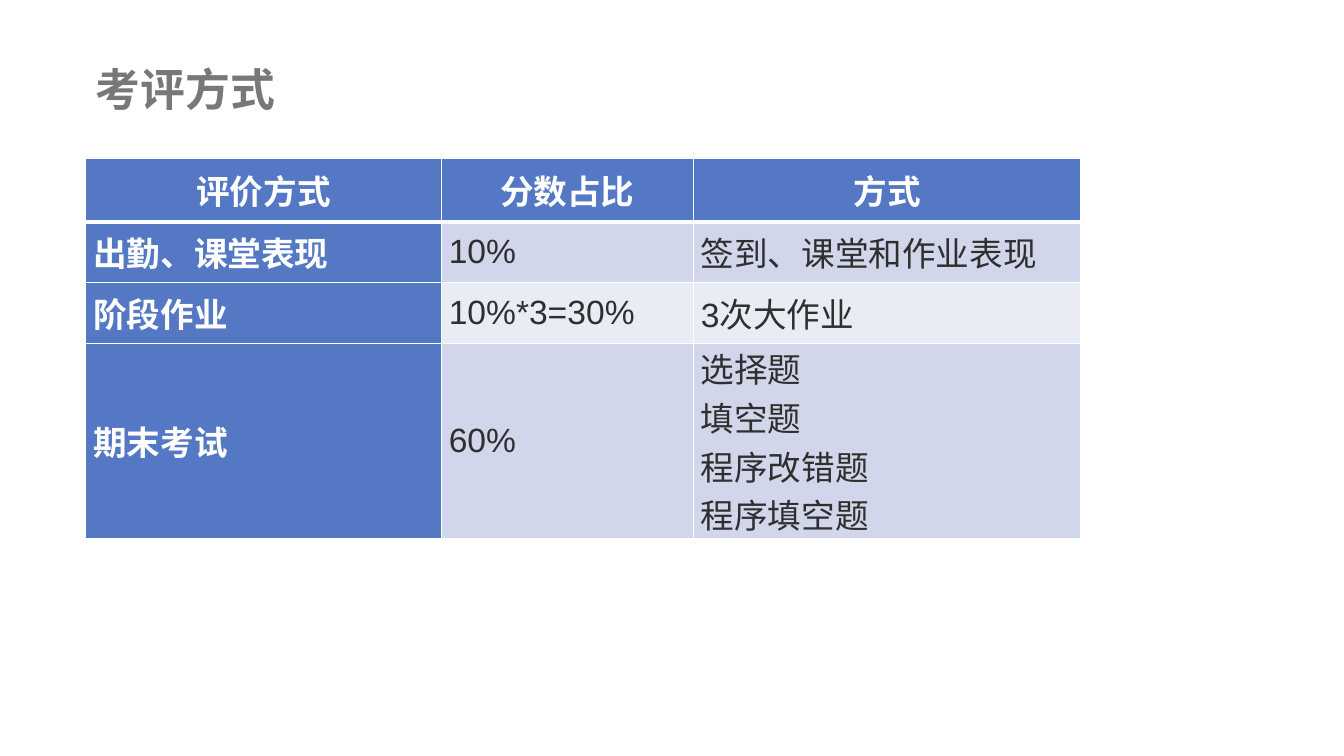
from lxml import etree
from pptx import Presentation
from pptx.dml.color import RGBColor
from pptx.enum.text import MSO_ANCHOR, PP_ALIGN
from pptx.oxml.ns import qn
from pptx.util import Pt

LEFT, CENTER, JUSTIFY = PP_ALIGN.LEFT, PP_ALIGN.CENTER, PP_ALIGN.JUSTIFY
MIDDLE, BOTTOM = MSO_ANCHOR.MIDDLE, MSO_ANCHOR.BOTTOM

WHITE = RGBColor(0xFF, 0xFF, 0xFF)
GRAY = RGBColor(0x78, 0x78, 0x78)
DARK = RGBColor(0x2F, 0x2F, 0x2F)
BLUE = RGBColor(0x54, 0x78, 0xC4)
BANDS = (RGBColor(0xD1, 0xD6, 0xEA), RGBColor(0xE9, 0xEC, 0xF5))

COLUMN_WIDTHS = (254, 180, 277)
ROW_HEIGHTS = (45.5, 43.5, 43.5, 139)
GRADING = (
    ("评价方式", "分数占比", "方式"),
    ("出勤、课堂表现", "10%", "签到、课堂和作业表现"),
    ("阶段作业", "10%*3=30%", "3次大作业"),
    ("期末考试", "60%", "选择题\n填空题\n程序改错题\n程序填空题"),
)


def set_font(para, name, size, color, bold):
    font = para.font
    font.name, font.size, font.bold = name, Pt(size), bold
    font.color.rgb = color


def set_borders(cell, top, bottom):
    """Draw white cell borders; widths are in points."""
    properties = cell._tc.get_or_add_tcPr()
    widths = (("L", 1), ("R", 1), ("T", top), ("B", bottom))
    for position, (side, width) in enumerate(widths):
        line = etree.Element(qn(f"a:ln{side}"), w=str(Pt(width)))
        fill = etree.SubElement(line, qn("a:solidFill"))
        etree.SubElement(fill, qn("a:srgbClr"), val=str(WHITE))
        properties.insert(position, line)


def add_title(page, text, left, top, width, height):
    title = page.shapes.title
    title.left, title.top = Pt(left), Pt(top)
    title.width, title.height = Pt(width), Pt(height)
    frame = title.text_frame
    frame.text = text
    frame.vertical_anchor = BOTTOM
    para = frame.paragraphs[0]
    para.alignment, para.line_spacing = LEFT, 0.9
    set_font(para, "Montserrat", 32, GRAY, True)


def fill_cell(cell, text, row, column):
    is_heading = row == 0 or column == 0
    cell.text = text
    cell.vertical_anchor = MIDDLE
    cell.margin_left = cell.margin_right = Pt(5.4)
    cell.margin_top = cell.margin_bottom = 0
    cell.fill.solid()
    cell.fill.fore_color.rgb = BLUE if is_heading else BANDS[(row - 1) % 2]
    for para in cell.text_frame.paragraphs:
        para.alignment = CENTER if row == 0 else JUSTIFY
        set_font(para, "Arial", 24, WHITE if is_heading else DARK, is_heading)
    # The rule under the header row is thicker
    set_borders(cell, 3 if row == 1 else 1, 3 if row == 0 else 1)


def add_grading_table(page, left, top):
    frame = page.shapes.add_table(
        len(ROW_HEIGHTS), len(COLUMN_WIDTHS), Pt(left), Pt(top),
        Pt(sum(COLUMN_WIDTHS)), Pt(sum(ROW_HEIGHTS)))
    table = frame.table
    table.first_col = True
    for column, width in zip(table.columns, COLUMN_WIDTHS):
        column.width = Pt(width)
    for row, height in zip(table.rows, ROW_HEIGHTS):
        row.height = Pt(height)
    for row, texts in enumerate(GRADING):
        for column, text in enumerate(texts):
            fill_cell(table.cell(row, column), text, row, column)


def main():
    deck = Presentation()
    deck.slide_width, deck.slide_height = Pt(960), Pt(540)
    page = deck.slides.add_slide(deck.slide_layouts[5])
    # Title above, grading scheme below
    add_title(page, "考评方式", 61.2, 31, 870.5, 55.4)
    add_grading_table(page, 61.2, 113)
    deck.save("out.pptx")


if __name__ == "__main__":
    main()
